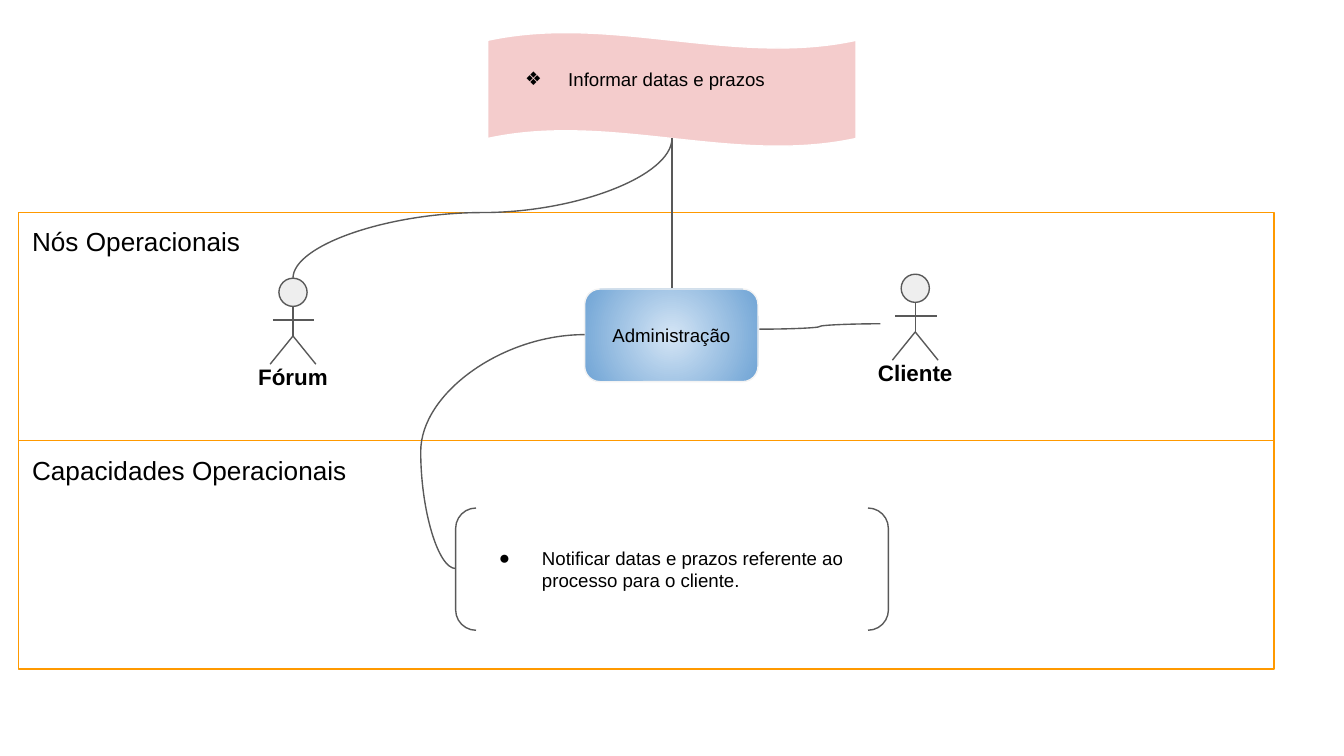
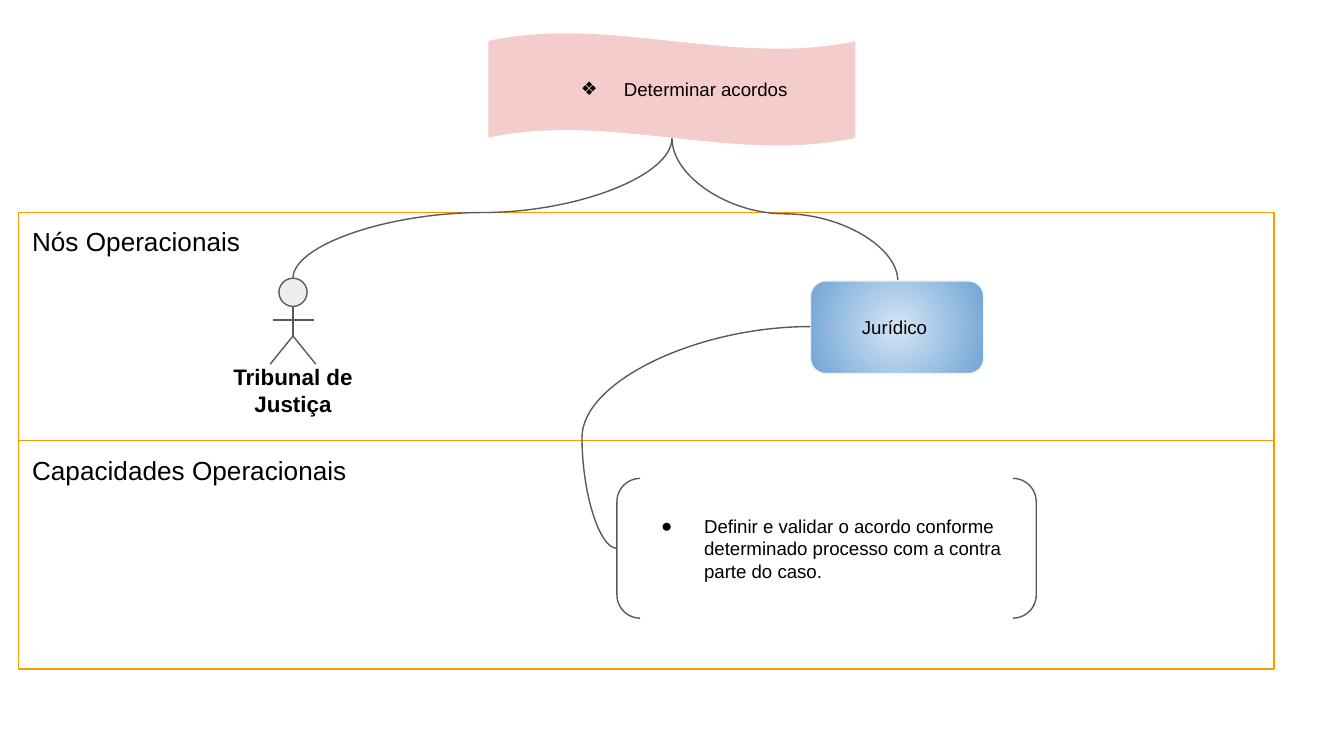
from lxml import etree
from pptx import Presentation
from pptx import util as u
from pptx.dml.color import RGBColor
from pptx.enum import shapes, text
from pptx.oxml.ns import qn

COLUMNS = 10
ROWS = COLUMNS * 9 / 16
CELL = u.Inches(1)
FONT = "Arial"
INK, STROKE, HEAD = "000000", "595959", "EEEEEE"
BAND_EDGE, FLAG, FLAG_EDGE = "FF9900", "F4CCCC", "FFFFFF"
NODE_CENTRE, NODE_RIM, NODE_EDGE = "D4E5F5", "70A4D5", "F3F3F3"
LINE_WIDTH = u.Pt(0.75)
INSET = 0.1
BAND_LEFT, BAND_TOP, BAND_WIDTH, BAND_HEIGHT = 0.14, 1.58, 9.34, 1.7
BAND_TITLES = ("Nós Operacionais", "Capacidades Operacionais")
FLAG_BOX = (3.63, 0.24, 2.74, 0.85)
FLAG_EXIT = (5, 1.03)
NODE_SIZE = (1.29, 0.69)
FORUM_TOP = (2.18, 2.07)
HEAD_SIZE = 0.21
FIGURE_LINES = (
    ((0, 0.21), (0, 0.43)),
    ((-0.15, 0.31), (0.16, 0.31)),
    ((0, 0.43), (-0.17, 0.64)),
    ((0.17, 0.64), (0, 0.43)),
)
LABEL_BOX = (-0.56, 0.53, 1.12, 0.38)
SHAPE, CONNECTOR = shapes.MSO_SHAPE, shapes.MSO_CONNECTOR
CENTER, LEFT = text.PP_ALIGN.CENTER, text.PP_ALIGN.LEFT
MIDDLE, TOP = text.MSO_ANCHOR.MIDDLE, text.MSO_ANCHOR.TOP


def grid(*cells):
    return [round(cell * CELL) for cell in cells]


def color(code):
    return RGBColor.from_string(code)


def apply(target, values):
    for name, value in values.items():
        setattr(target, name, value)


def outline(line, code):
    line.color.rgb = color(code)
    line.width = LINE_WIDTH


def write(shape, words, size, align=LEFT, anchor=TOP, bold=False, bullet=None, bottom=INSET):
    left, right, top, base = grid(INSET, INSET, INSET, bottom)
    frame = shape.text_frame
    apply(frame, {
        "word_wrap": True, "vertical_anchor": anchor,
        "margin_left": left, "margin_right": right,
        "margin_top": top, "margin_bottom": base,
    })
    paragraph = frame.paragraphs[0]
    paragraph.alignment = align
    run = paragraph.add_run()
    run.text = words
    apply(run.font, {"name": FONT, "size": u.Pt(size), "bold": bold})
    run.font.color.rgb = color(INK)
    if bullet:
        hang(paragraph, bullet)


def hang(paragraph, bullet):
    properties = paragraph._p.get_or_add_pPr()
    margin, indent = grid(0.5, -0.32)
    properties.set("marL", str(margin))
    properties.set("indent", str(indent))
    tint = etree.SubElement(properties, qn("a:buClr"))
    etree.SubElement(tint, qn("a:srgbClr"), val=INK)
    etree.SubElement(properties, qn("a:buFont"), typeface=FONT)
    etree.SubElement(properties, qn("a:buChar"), char=bullet)


def add_box(parent, preset, box, edge, fill=None):
    shape = parent.shapes.add_shape(preset, *grid(*box))
    shape.shadow.inherit = False
    outline(shape.line, edge)
    if fill:
        shape.fill.solid()
        shape.fill.fore_color.rgb = color(fill)
    else:
        shape.fill.background()
    return shape


def add_line(parent, start, end, kind=CONNECTOR.STRAIGHT):
    line = parent.shapes.add_connector(kind, *grid(*start, *end))
    outline(line.line, STROKE)
    etree.SubElement(line._element.spPr, qn("a:effectLst"))
    return line


def add_curve(slide, start, end, bend):
    curve = add_line(slide, start, end, CONNECTOR.CURVE)
    guides = curve._element.spPr.find(qn("a:prstGeom")).find(qn("a:avLst"))
    etree.SubElement(guides, qn("a:gd"), name="adj1", fmla=f"val {round(bend * 100000)}")
    return curve


def add_rising_curve(slide, start, end=FLAG_EXIT, bend=0.47):
    middle_x, middle_y = ((a + b) / 2 for a, b in zip(start, end))
    half_run, half_rise = (end[0] - start[0]) / 2, (start[1] - end[1]) / 2
    curve = add_curve(
        slide,
        (middle_x - half_rise, middle_y - half_run),
        (middle_x + half_rise, middle_y + half_run),
        bend,
    )
    curve.rotation = 270
    curve._element.spPr.find(qn("a:xfrm")).set("rot", str(270 * 60000))


def add_bands(slide):
    for row, title in enumerate(BAND_TITLES):
        box = (BAND_LEFT, BAND_TOP + row * BAND_HEIGHT, BAND_WIDTH, BAND_HEIGHT)
        write(add_box(slide, SHAPE.RECTANGLE, box, BAND_EDGE), title, 14)


def add_flag(slide, words, align=LEFT, bottom=INSET):
    flag = add_box(slide, SHAPE.WAVE, FLAG_BOX, FLAG_EDGE, FLAG)
    flag.adjustments[0] = 0.07
    flag.adjustments[1] = 0
    write(flag, words, 10, align, MIDDLE, bullet="❖", bottom=bottom)


def add_node(slide, corner, words):
    node = add_box(slide, SHAPE.ROUNDED_RECTANGLE, (*corner, *NODE_SIZE), NODE_EDGE)
    node.fill.gradient()
    for stop, code in zip(node.fill.gradient_stops, (NODE_CENTRE, NODE_RIM)):
        stop.color.rgb = color(code)
    gradient = node._element.spPr.find(qn("a:gradFill"))
    gradient.remove(gradient.find(qn("a:lin")))
    radial = etree.Element(qn("a:path"), path="circle")
    etree.SubElement(radial, qn("a:fillToRect"), dict.fromkeys("ltrb", "50000"))
    gradient.find(qn("a:gsLst")).addnext(radial)
    write(node, words, 10, CENTER, MIDDLE)


def add_capability(slide, box, words):
    brackets = add_box(slide, SHAPE.DOUBLE_BRACKET, box, STROKE)
    write(brackets, words, 10, anchor=MIDDLE, bullet="●")


def add_actor(slide, top, name):
    x, y = top
    actor = slide.shapes.add_group_shape()
    head = (x - HEAD_SIZE / 2, y, HEAD_SIZE, HEAD_SIZE)
    add_box(actor, SHAPE.FLOWCHART_CONNECTOR, head, STROKE, HEAD)
    for start, end in FIGURE_LINES:
        add_line(actor, (x + start[0], y + start[1]), (x + end[0], y + end[1]))
    left, drop, width, height = LABEL_BOX
    label = actor.shapes.add_textbox(*grid(x + left, y + drop, width, height))
    write(label, name, 12, CENTER, bold=True)


def start_slide(deck):
    slide = deck.slides.add_slide(deck.slide_layouts[6])
    add_bands(slide)
    return slide


def build_deadlines(deck):
    slide = start_slide(deck)
    add_flag(slide, "Informar datas e prazos", bottom=0.26)
    add_rising_curve(slide, (5, 2.15))
    add_rising_curve(slide, FORUM_TOP)
    add_capability(slide, (3.39, 3.78, 3.22, 0.91),
                   "Notificar datas e prazos referente ao processo para o cliente.")
    add_node(slide, (4.35, 2.15), "Administração")
    add_actor(slide, FORUM_TOP, "Fórum")
    add_curve(slide, (4.35, 2.49), (3.39, 4.23), 1.27)
    add_actor(slide, (6.81, 2.04), "Cliente")
    add_curve(slide, (5.65, 2.45), (6.55, 2.41), 0.5)


def build_agreements(deck):
    slide = start_slide(deck)
    add_flag(slide, "Determinar acordos", CENTER)
    add_rising_curve(slide, (6.68, 2.09))
    add_rising_curve(slide, FORUM_TOP)
    add_capability(slide, (4.59, 3.56, 3.12, 1.04),
                   "Definir e validar o acordo conforme determinado processo "
                   "com a contra parte do caso.")
    add_node(slide, (6.03, 2.09), "Jurídico ")
    add_actor(slide, FORUM_TOP, "Tribunal de Justiça")
    add_curve(slide, (6.03, 2.43), (4.59, 4.08), 1.18)


def main():
    deck = Presentation()
    deck.slide_width, deck.slide_height = grid(COLUMNS, ROWS)
    build_deadlines(deck)
    build_agreements(deck)
    deck.save("out.pptx")


main()
